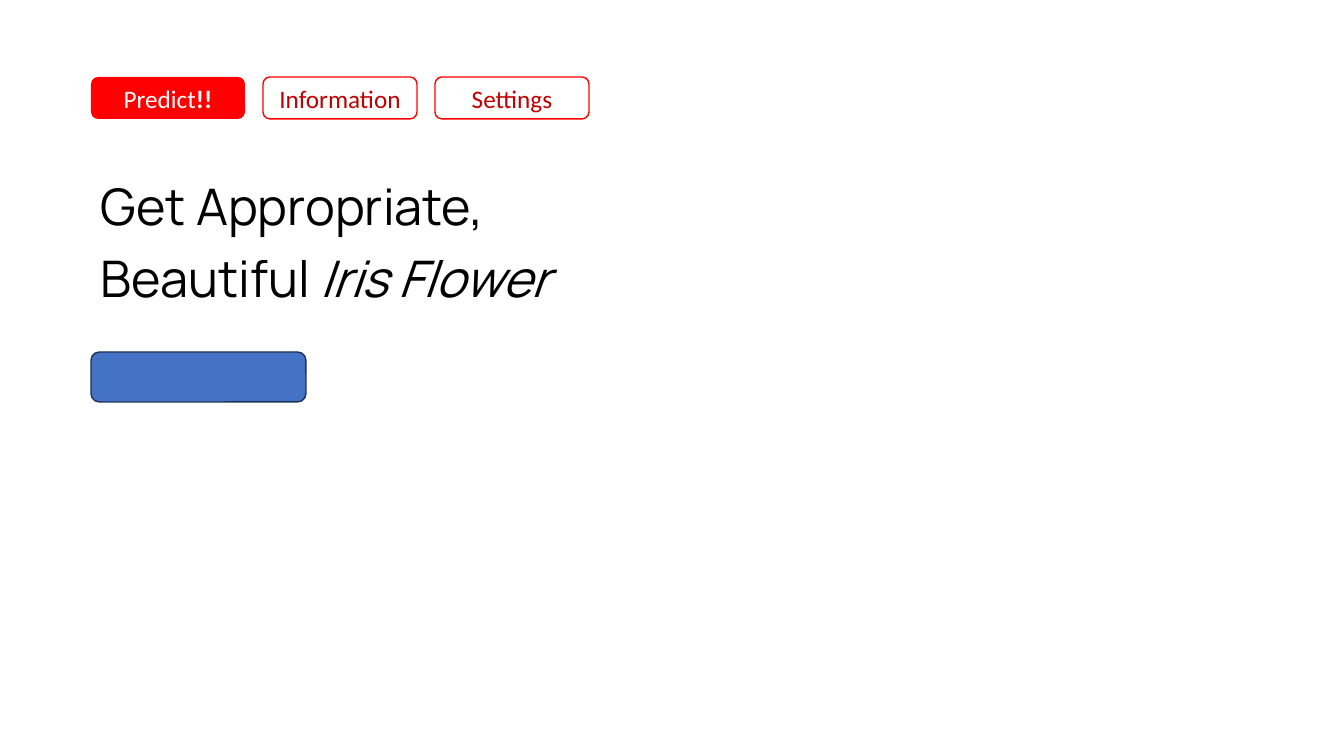
import pptx
import pptx.util
import pptx.dml.color
import pptx.enum.shapes
import pptx.enum.text

PX = 914400 / 100.8
LEFT = 91
TAB_PITCH = 172


def color(value):
    return pptx.dml.color.RGBColor.from_string(value)


def write(paragraph, runs, formats):
    for text, extra in runs:
        run = paragraph.add_run()
        run.text = text
        run.font.color.rgb = color(formats["color"])
        for key, value in {**formats["font"], **extra}.items():
            setattr(run.font, key, value)


deck = pptx.Presentation()
deck.slide_width = round(1344 * PX)
deck.slide_height = round(756 * PX)
page = deck.slides.add_slide(deck.slide_layouts[6])

tab_font = {"name": "Calibri", "size": pptx.util.Pt(18)}
title_font = {"name": "Manrope", "size": pptx.util.Pt(36)}

tabs = [
    ([("Predict", {}), ("!!", {"bold": True})], "FF0000", None, "FFFFFF"),
    ([("Information", {})], None, "FF0000", "C00000"),
    ([("Settings", {})], "FFFFFF", "FF0000", "C00000"),
]
buttons = [
    (LEFT + i * TAB_PITCH, 77, 154, 42, *tab) for i, tab in enumerate(tabs)
]
buttons.append((LEFT, 352, 215, 50, [], "4472C4", "1E3256", "FFFFFF"))

for left, top, width, height, label, fill, outline, ink in buttons:
    button = page.shapes.add_shape(
        pptx.enum.shapes.MSO_SHAPE.ROUNDED_RECTANGLE,
        *(round(n * PX) for n in (left, top, width, height)))
    button.shadow.inherit = False
    if fill:
        button.fill.solid()
        button.fill.fore_color.rgb = color(fill)
    else:
        button.fill.background()
    if outline:
        button.line.color.rgb = color(outline)
        button.line.width = pptx.util.Pt(1)
    else:
        button.line.fill.background()
    button.text_frame.vertical_anchor = pptx.enum.text.MSO_ANCHOR.MIDDLE
    caption = button.text_frame.paragraphs[0]
    caption.alignment = pptx.enum.text.PP_ALIGN.CENTER
    write(caption, label, {"color": ink, "font": tab_font})

headlines = [
    (170, 877, [("Get Appropriate,", {})]),
    (242, 672, [("Beautiful ", {}), ("Iris Flower", {"italic": True})]),
]
for top, width, words in headlines:
    headline = page.shapes.add_textbox(
        *(round(n * PX) for n in (LEFT, top, width, 71)))
    headline.text_frame.word_wrap = True
    headline.text_frame.auto_size = pptx.enum.text.MSO_AUTO_SIZE.SHAPE_TO_FIT_TEXT
    write(headline.text_frame.paragraphs[0], words,
          {"color": "000000", "font": title_font})

deck.save("out.pptx")
